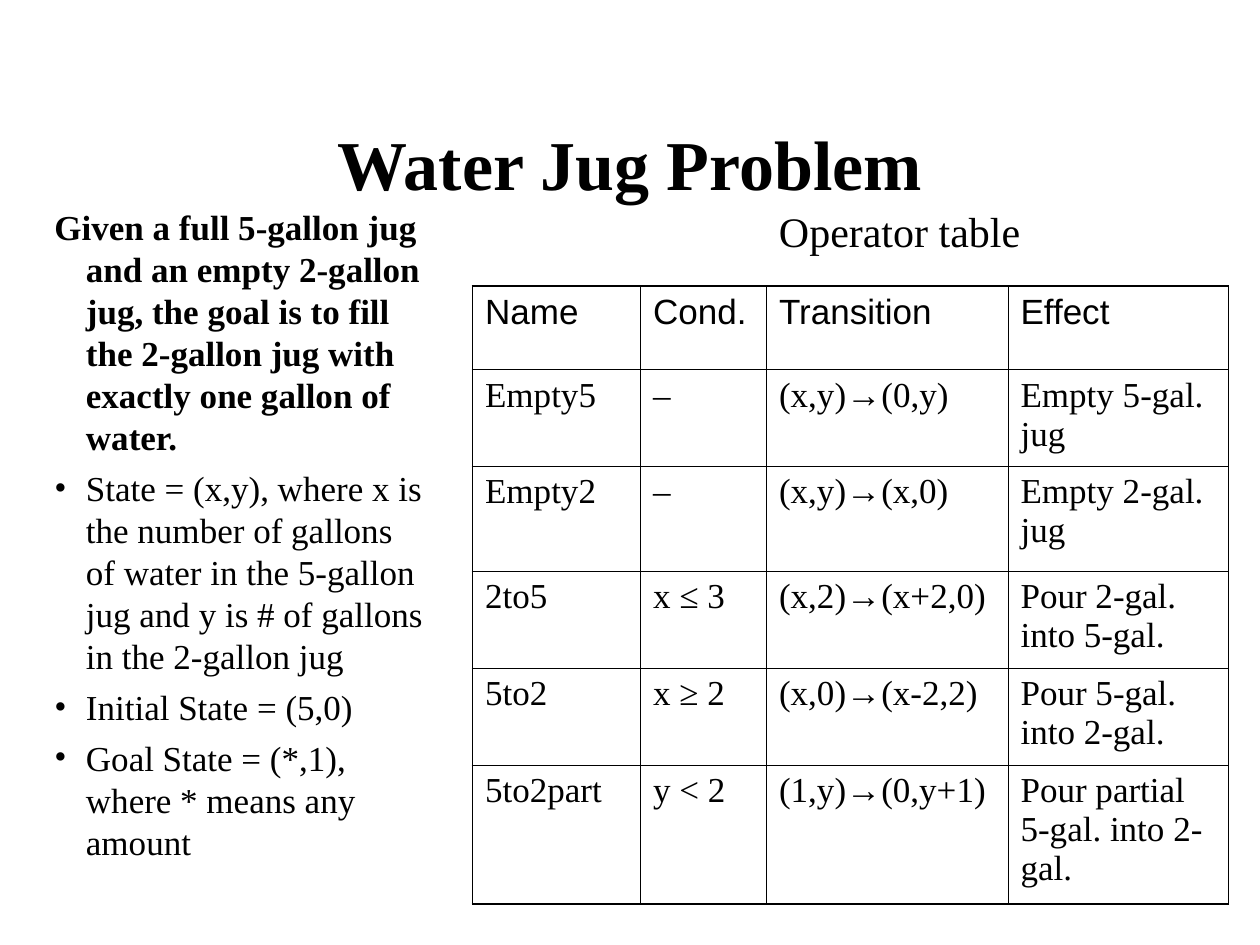
from lxml.etree import SubElement
from pptx import Presentation
from pptx.dml.color import RGBColor
from pptx.enum.text import MSO_ANCHOR, MSO_AUTO_SIZE, PP_ALIGN
from pptx.oxml import parse_xml
from pptx.oxml.ns import nsdecls, qn
from pptx.util import Inches, Pt

BLACK = RGBColor(0, 0, 0)
SERIF, SANS = "Times New Roman", "Arial"
THIN, THICK = 0.45, 1.08

GOAL = ("Given a full 5-gallon jug and an empty 2-gallon jug, the goal is to "
        "fill the 2-gallon jug with exactly one gallon of water.")
STATES = [
    "State = (x,y), where x is the number of gallons of water in the 5-gallon "
    "jug and y is # of gallons in the 2-gallon jug",
    "Initial State = (5,0)",
    "Goal State = (*,1), where * means any amount",
]
# A tuple holds the runs of a cell; its second run is italic.
OPERATORS = [
    ["Name", "Cond.", "Transition", "Effect"],
    ["Empty5", "–", ("(x,y)", "→", "(0,y)"), "Empty 5-gal. jug"],
    ["Empty2", "–", "(x,y)→(x,0)", "Empty 2-gal. jug"],
    ["2to5", ("x ", "≤ ", "3"), "(x,2)→(x+2,0)", "Pour 2-gal. into 5-gal."],
    ["5to2", "x ≥ 2", "(x,0)→(x-2,2)", "Pour 5-gal. into 2-gal."],
    ["5to2part", "y < 2", "(1,y)→(0,y+1)", "Pour partial 5-gal. into 2-gal."],
]
WIDTHS = [16, 12, 23, 21]
HEIGHTS = [7.95, 9.2, 10, 9.25, 9.25, 13.2]


def unit(n):
    """Length of n grid steps, twelve to the inch."""
    return Inches(n / 12)


class Deck:
    def __init__(self, wide, high):
        self.prs = Presentation()
        self.prs.slide_width, self.prs.slide_height = unit(wide), unit(high)
        self.slide = self.prs.slides.add_slide(self.prs.slide_layouts[6])

    def style(self, para, size, face=SERIF, bold=False):
        for run in para.runs:
            font = run.font
            font.size, font.name, font.bold = Pt(size), face, bold
            font.color.rgb = BLACK

    def text(self, box, words, size, bold=False):
        shape = self.slide.shapes.add_textbox(*map(unit, box))
        frame = shape.text_frame
        frame.word_wrap = True
        frame.text = words
        self.style(frame.paragraphs[0], size, bold=bold)
        return frame

    def title(self, box, words):
        frame = self.text(box, words, 40, bold=True)
        frame.vertical_anchor = MSO_ANCHOR.MIDDLE
        frame.paragraphs[0].alignment = PP_ALIGN.CENTER

    def label(self, box, words):
        frame = self.text(box, words, 24)
        frame.word_wrap = False
        frame.auto_size = MSO_AUTO_SIZE.SHAPE_TO_FIT_TEXT

    def hang(self, para, mark=None):
        """Set a hanging indent, with a bullet if a mark is given."""
        props = para._p.get_or_add_pPr()
        props.set("marL", str(Inches(0.25)))
        props.set("indent", str(-Inches(0.25)))
        if mark:
            SubElement(props, qn("a:buFont"), typeface=SERIF)
            SubElement(props, qn("a:buChar"), char=mark)

    def body(self, box, lead, points):
        frame = self.text(box, lead, 20, bold=True)
        self.hang(frame.paragraphs[0])
        for point in points:
            para = frame.add_paragraph()
            para.text = point
            para.space_before = Pt(5)
            self.hang(para, "•")
            self.style(para, 20)

    def border(self, cell, sides):
        props = cell._tc.get_or_add_tcPr()
        for spot, (side, width) in enumerate(sides.items()):
            props.insert(spot, parse_xml(
                f'<a:ln{side} {nsdecls("a")} w="{Pt(width)}"><a:solidFill>'
                f'<a:srgbClr val="{BLACK}"/></a:solidFill></a:ln{side}>'))

    def fill(self, cell, words, face):
        para = cell.text_frame.paragraphs[0]
        parts = (words,) if isinstance(words, str) else words
        for spot, part in enumerate(parts):
            run = para.add_run()
            run.text = part
            run.font.italic = spot == 1
        self.style(para, 20, face)
        cell.fill.background()

    def table(self, left, top, rows, widths, heights):
        grid = self.slide.shapes.add_table(
            len(rows), len(widths), unit(left), unit(top),
            unit(sum(widths)), unit(sum(heights))).table
        grid.first_row = grid.horz_banding = False
        for col, width in zip(grid.columns, widths):
            col.width = unit(width)
        for row, height in zip(grid.rows, heights):
            row.height = unit(height)
        for r, row in enumerate(rows):
            for c, words in enumerate(row):
                cell = grid.cell(r, c)
                self.fill(cell, words, SERIF if r else SANS)
                edges = {"L": c == 0, "R": c == len(widths) - 1,
                         "T": r == 0, "B": r == len(rows) - 1}
                self.border(cell, {side: THICK if outer else THIN
                                   for side, outer in edges.items()})


def main():
    deck = Deck(120, 90)
    deck.title((9, 8, 102, 15), "Water Jug Problem")
    deck.body((4, 19, 38, 66), GOAL, STATES)
    deck.table(45, 27.25, OPERATORS, WIDTHS, HEIGHTS)
    deck.label((73, 19, 25.6, 6), "Operator table")
    deck.prs.save("out.pptx")


if __name__ == "__main__":
    main()
